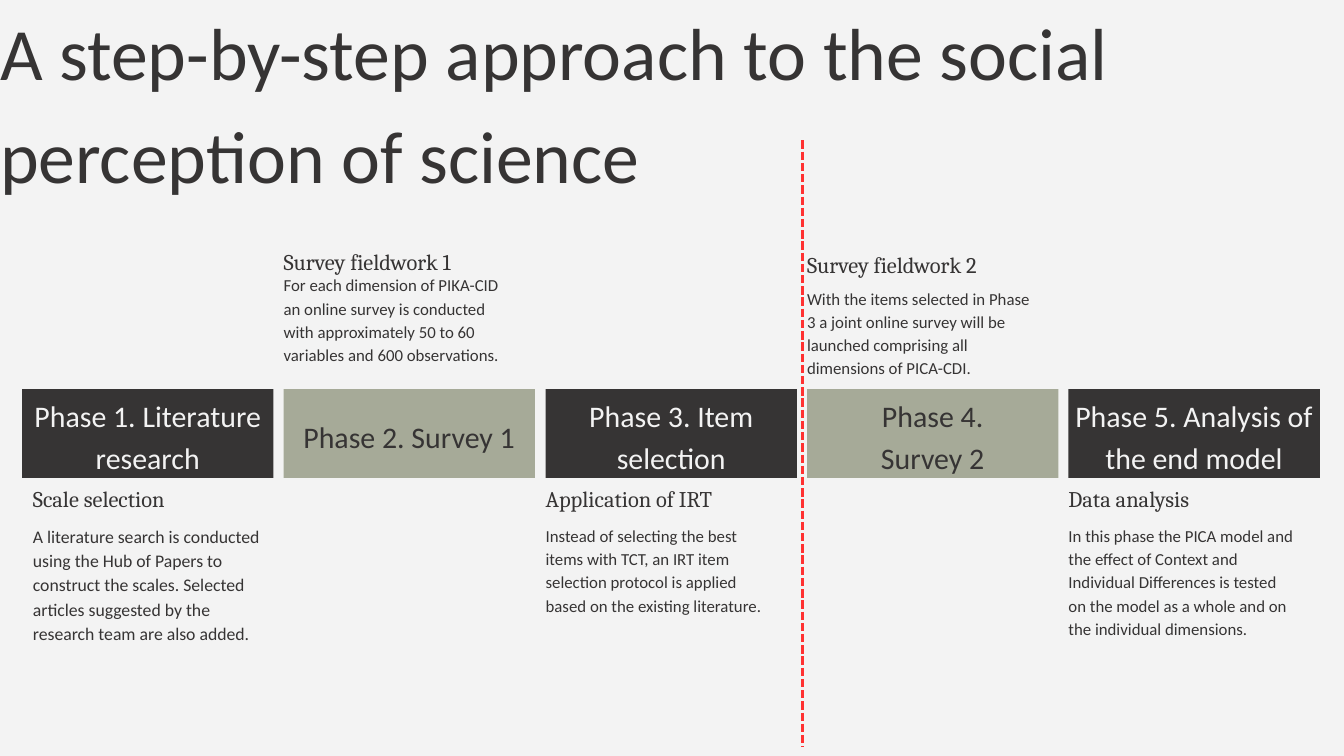
import pptx
import pptx.dml.color
import pptx.enum.dml
import pptx.enum.shapes
import pptx.enum.text
import pptx.oxml
import pptx.util

RGBColor = pptx.dml.color.RGBColor
PP_ALIGN = pptx.enum.text.PP_ALIGN
MSO_ANCHOR = pptx.enum.text.MSO_ANCHOR

PX = 9144  # 100 px to the inch
SLIDE_W, SLIDE_H = 2000, 1125
CHARCOAL = RGBColor(0x36, 0x34, 0x34)
SAGE = RGBColor(0xA6, 0xAA, 0x98)
PALE = RGBColor(0xF3, 0xF3, 0xF3)
RED = RGBColor(0xFF, 0x31, 0x31)

# Phase bars: five equal columns between the outer margins
FIRST_LEFT, LAST_LEFT = 33, 1590
BAR_TOP, BAR_W, BAR_H = 579, 374, 132
NOTE_W, HEADING_H = 340, 44

# Bar lines, note heading, note text, text size, line pitch,
# then the note's indent, heading top and text top relative to the bar
PHASES = [
    (["Phase 1. Literature research"], "Scale selection",
     "A literature search is conducted using the Hub of Papers to construct "
     "the scales. Selected articles suggested by the research team are also added.",
     19, 26.2, (16, 136, 198)),
    (["Phase 2. Survey 1"], "Survey fieldwork 1",
     "For each dimension of PIKA-CID an online survey is conducted with "
     "approximately 50 to 60 variables and 600 observations.",
     18, 24.8, (0, -217, -174)),
    (["Phase 3. Item selection"], "Application of IRT",
     "Instead of selecting the best items with TCT, an IRT item selection "
     "protocol is applied based on the existing literature.",
     18, 24.8, (0, 137, 199)),
    (["Phase 4.", "Survey 2"], "Survey fieldwork 2",
     "With the items selected in Phase 3 a joint online survey will be "
     "launched comprising all dimensions of PICA-CDI.",
     18, 24.8, (0, -212, -154)),
    (["Phase 5. Analysis of the end model"], "Data analysis",
     "In this phase the PICA model and the effect of Context and Individual "
     "Differences is tested on the model as a whole and on the individual dimensions.",
     18, 24.8, (0, 137, 199)),
]


def emu(*lengths):
    return [pptx.util.Emu(length * PX) for length in lengths]


def write(frame, lines, size, pitch, font="Calibri", color=CHARCOAL,
          align=PP_ALIGN.LEFT, anchor=MSO_ANCHOR.TOP, inset=0):
    frame.word_wrap = True
    frame.auto_size = pptx.enum.text.MSO_AUTO_SIZE.NONE
    frame.vertical_anchor = anchor
    frame.margin_left = frame.margin_right = inset * PX
    frame.margin_top = frame.margin_bottom = inset // 2 * PX
    for index, line in enumerate(lines):
        paragraph = frame.add_paragraph() if index else frame.paragraphs[0]
        paragraph.alignment = align
        paragraph.line_spacing = pptx.util.Pt(pitch)
        paragraph.space_before = pptx.util.Pt(0)
        run = paragraph.add_run()
        run.text = line
        run.font.name = font
        run.font.size = pptx.util.Pt(size)
        run.font.color.rgb = color


def add_title(slide, left, top, width, height):
    title = slide.shapes.title
    title.left, title.top, title.width, title.height = emu(left, top, width, height)
    write(title.text_frame,
          ["A step-by-step approach to the social perception of science"], 79, 110.6)


def add_note(slide, left, heading_top, text_top, heading, text, size, pitch):
    heading_box = slide.shapes.add_textbox(*emu(left, heading_top, NOTE_W, HEADING_H))
    write(heading_box.text_frame, [heading], 24, 33.6, font="Cambria")
    text_box = slide.shapes.add_textbox(*emu(left, text_top, NOTE_W, 175))
    write(text_box.text_frame, [text], size, pitch)


def add_bar(slide, left, top, width, height, lines, fill, color):
    bar = slide.shapes.add_shape(pptx.enum.shapes.MSO_SHAPE.RECTANGLE,
                                 *emu(left, top, width, height))
    bar.shadow.inherit = False
    bar.fill.solid()
    bar.fill.fore_color.rgb = fill
    bar.line.fill.background()
    write(bar.text_frame, lines, 32, 44.8, color=color, align=PP_ALIGN.CENTER,
          anchor=MSO_ANCHOR.MIDDLE, inset=10)


def add_phases(slide):
    step = (LAST_LEFT - FIRST_LEFT) / (len(PHASES) - 1)
    for index, (lines, heading, text, size, pitch, offsets) in enumerate(PHASES):
        left = round(FIRST_LEFT + index * step)
        indent, heading_top, text_top = offsets
        fill, color = (SAGE, CHARCOAL) if index % 2 else (CHARCOAL, PALE)
        add_bar(slide, left, BAR_TOP, BAR_W, BAR_H, lines, fill, color)
        add_note(slide, left + indent, BAR_TOP + heading_top, BAR_TOP + text_top,
                 heading, text, size, pitch)


def add_divider(slide, x, top, bottom):
    divider = slide.shapes.add_connector(pptx.enum.shapes.MSO_CONNECTOR.STRAIGHT,
                                         *emu(x, top, x, bottom))
    divider.line.color.rgb = RED
    divider.line.width = pptx.util.Pt(3)
    divider.line.dash_style = pptx.enum.dml.MSO_LINE.SQUARE_DOT
    properties = divider.element.spPr
    properties.append(pptx.oxml.parse_xml(
        '<a:effectLst xmlns:a="http://schemas.openxmlformats.org/drawingml/2006/main"/>'))


def main():
    deck = pptx.Presentation()
    deck.slide_width, deck.slide_height = emu(SLIDE_W, SLIDE_H)
    slide = deck.slides.add_slide(deck.slide_layouts.get_by_name("Title Only"))
    slide.background.fill.solid()
    slide.background.fill.fore_color.rgb = PALE
    add_title(slide, 0, -12, SLIDE_W, 301)
    add_divider(slide, 1194, 209, 1112)
    add_phases(slide)
    deck.save("out.pptx")


if __name__ == "__main__":
    main()
